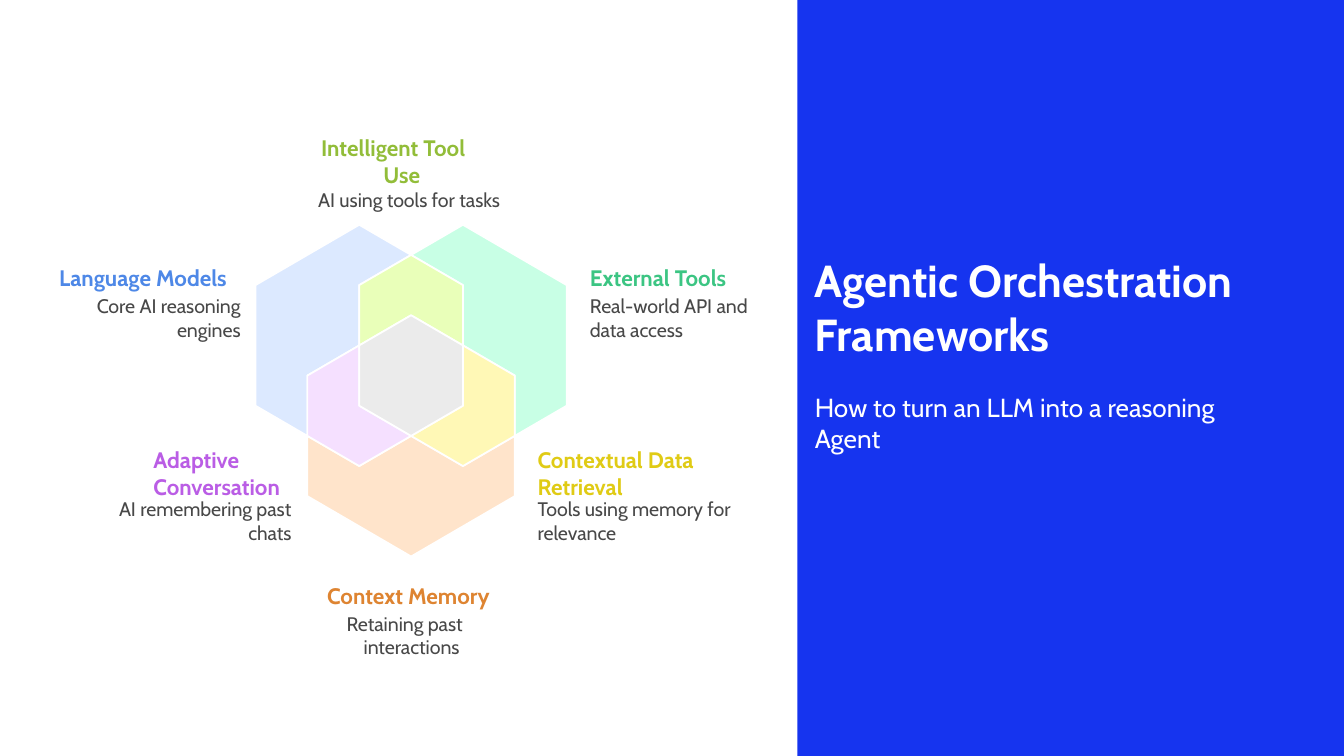
from pptx import Presentation
from pptx.dml.color import RGBColor
from pptx.enum.shapes import MSO_SHAPE
from pptx.enum.text import MSO_ANCHOR, MSO_AUTO_SIZE, PP_ALIGN
from pptx.util import Cm, Pt

LEFT, CENTER, RIGHT = PP_ALIGN.LEFT, PP_ALIGN.CENTER, PP_ALIGN.RIGHT
TOP, BOTTOM = MSO_ANCHOR.TOP, MSO_ANCHOR.BOTTOM
RECTANGLE = MSO_SHAPE.RECTANGLE
NO_AUTOFIT = MSO_AUTO_SIZE.NONE

FONT = "Cabin"
TITLE_ONLY = 5
COLORS = {
    "white": "FFFFFF", "panel": "1634EF", "body": "484848",
    "models": "4E88E7", "tools": "3CC583", "memory": "DE8431",
    "tool use": "92BD39", "conversation": "BA5DE5", "retrieval": "E0CB15",
    "models area": "DCE9FF", "tools area": "C8FFE5", "memory area": "FFE4CB",
    "tool use area": "E9FFB9", "conversation area": "F5E0FF",
    "retrieval area": "FFF8B6", "core area": "EBEBEB",
}

# Corners as (column, row) on the lattice shared by the three hexagons
COLUMN, ROW = 0.98, 0.57
AREAS = [
    ("memory area", [(5, 7), (5, 9), (3, 11), (1, 9), (1, 7), (2, 8), (3, 7), (4, 8)]),
    ("tools area", [(4, 0), (6, 2), (6, 6), (5, 7), (5, 5), (4, 4), (4, 2), (3, 1)]),
    ("models area", [(2, 4), (1, 5), (1, 7), (0, 6), (0, 2), (2, 0), (3, 1), (2, 2)]),
    ("retrieval area", [(4, 8), (3, 7), (4, 6), (4, 4), (5, 5), (5, 7)]),
    ("conversation area", [(3, 7), (2, 8), (1, 7), (1, 5), (2, 4), (2, 6)]),
    ("tool use area", [(2, 4), (2, 2), (3, 1), (4, 2), (4, 4), (3, 3)]),
    ("core area", [(4, 4), (4, 6), (3, 7), (2, 6), (2, 4), (3, 3)]),
]

# Colour, then heading and detail: lines, left, top, width, alignment of each line
LABELS = [
    ("tool use",
     (["Intelligent Tool", "Use"], 5.36, 0, 3.05, [LEFT, CENTER]),
     (["AI using tools for tasks"], 5.08, 1.02, 3.89, [CENTER])),
    ("models",
     (["Language Models"], 0, 2.46, 3.58, [RIGHT]),
     (["Core AI reasoning", "engines"], 0.79, 3.02, 3.05, [RIGHT, RIGHT])),
    ("tools",
     (["External Tools"], 10.44, 2.46, 2.9, [LEFT]),
     (["Real-world API and data access"], 10.44, 3.02, 3.66, [LEFT])),
    ("conversation",
     (["Adaptive", "Conversation"], 2.19, 5.89, 2.77, [LEFT, LEFT]),
     (["AI remembering past", "chats"], 1.17, 6.86, 3.63, [RIGHT, RIGHT])),
    ("retrieval",
     (["Contextual Data", "Retrieval"], 9.45, 5.89, 3.38, [LEFT, LEFT]),
     (["Tools using memory for", "relevance"], 9.45, 6.86, 4.06, [LEFT, LEFT])),
    ("memory",
     (["Context Memory"], 5.26, 8.46, 3.5, [CENTER]),
     (["Retaining past", "interactions"], 5.84, 9.02, 2.46, [LEFT, CENTER])),
]


def rgb(name):
    return RGBColor.from_string(COLORS[name])


def place(shape, left, top, width, height):
    shape.left, shape.top = Cm(left), Cm(top)
    shape.width, shape.height = Cm(width), Cm(height)


def write(shape, lines, size, color, bold=False, aligns=(LEFT,), inset=0, anchor=TOP):
    frame = shape.text_frame
    frame.word_wrap = True
    frame.auto_size = NO_AUTOFIT
    frame.vertical_anchor = anchor
    frame.margin_left = frame.margin_right = Cm(inset)
    frame.margin_top = frame.margin_bottom = Cm(inset)
    frame.text = "\n".join(lines)
    for paragraph, align in zip(frame.paragraphs, aligns):
        paragraph.alignment = align
        font = paragraph.runs[0].font
        font.name, font.size, font.bold = FONT, Pt(size), bold
        font.color.rgb = rgb(color)


def add_title_panel(slide, left, top, width, height):
    panel = slide.shapes.add_shape(RECTANGLE, Cm(left), Cm(top), Cm(width), Cm(height))
    panel.shadow.inherit = False
    panel.fill.solid()
    panel.fill.fore_color.rgb = rgb("panel")
    panel.line.fill.background()

    title = slide.shapes.title
    slide.shapes._spTree.append(title._element)  # bring in front of the panel
    subtitle = slide.shapes.add_textbox(0, 0, 0, 0)
    place(title, left + 0.08, top + 4.22, 9.3, 2.84)
    place(subtitle, left + 0.08, top + 7.14, 9.3, 2.84)
    write(title, ["Agentic Orchestration Frameworks"], 24, "white",
          bold=True, inset=0.25, anchor=BOTTOM)
    write(subtitle, ["How to turn an LLM into a reasoning Agent"], 14, "white", inset=0.25)


def add_hexagons(slide, left, top):
    for color, corners in AREAS:
        points = [(Cm(left + column * COLUMN), Cm(top + row * ROW))
                  for column, row in corners]
        builder = slide.shapes.build_freeform(*points[0])
        builder.add_line_segments(points[1:], close=True)
        area = builder.convert_to_shape()
        area.shadow.inherit = False
        area.fill.solid()
        area.fill.fore_color.rgb = rgb(color)
        area.line.color.rgb = rgb("white")
        area.line.width = Pt(0.93)


def add_labels(slide, left, top):
    for color, heading, detail in LABELS:
        for part, size, part_color, bold, line_height in (
                (heading, 12, color, True, 0.51), (detail, 10.5, "body", False, 0.45)):
            lines, x, y, width, aligns = part
            label = slide.shapes.add_textbox(0, 0, 0, 0)
            # The long detail wraps by itself, so its box is two lines tall
            rows = 2 if len(lines[0]) > 25 else len(lines)
            place(label, left + x, top + y, width, rows * line_height)
            write(label, lines, size, part_color, bold=bold, aligns=aligns)


def add_venn(slide, left, top):
    add_hexagons(slide, left + 4.12, top + 1.71)
    add_labels(slide, left, top)


def main():
    deck = Presentation()
    deck.slide_width, deck.slide_height = Cm(25.4), Cm(14.29)
    slide = deck.slides.add_slide(deck.slide_layouts[TITLE_ONLY])
    add_title_panel(slide, 15.07, 0, 10.33, 14.29)
    add_venn(slide, 0.71, 2.54)
    deck.save("out.pptx")


if __name__ == "__main__":
    main()
